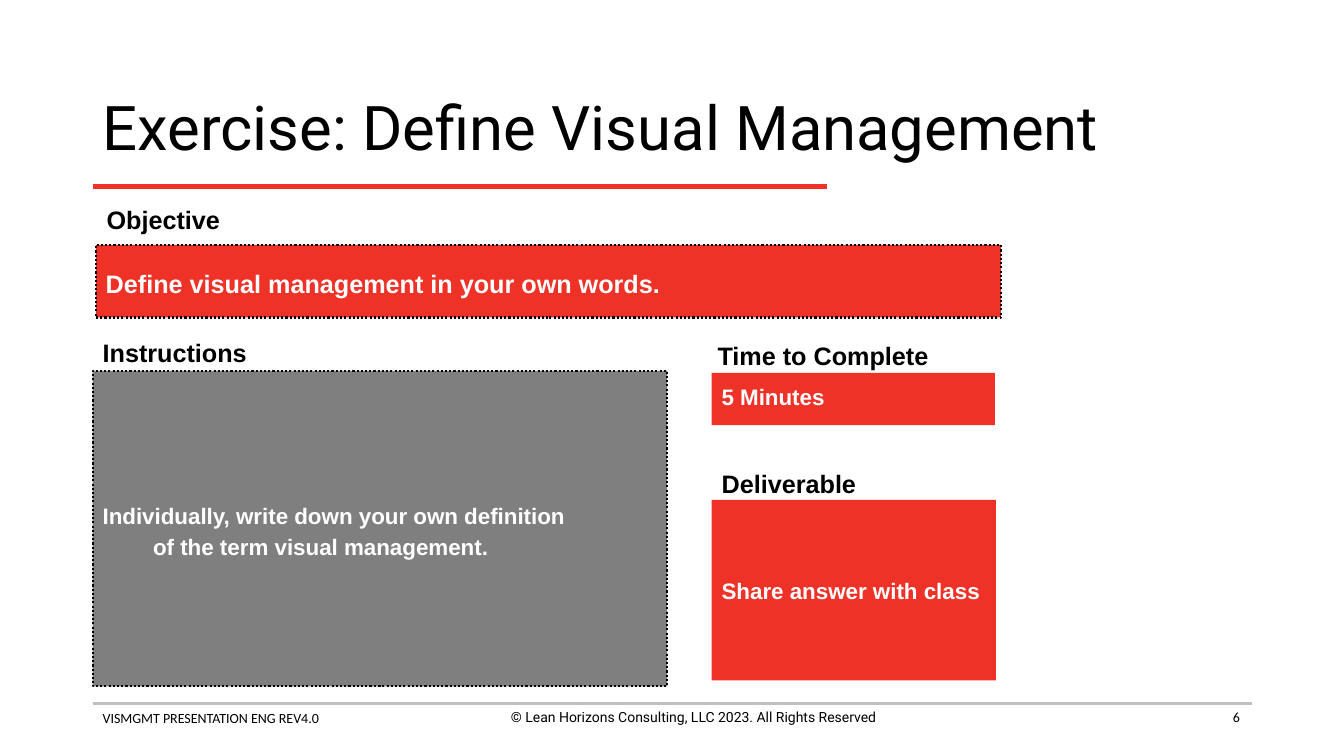
from dataclasses import dataclass

from lxml.etree import SubElement
from pptx import Presentation
from pptx.dml.color import RGBColor
from pptx.enum.dml import MSO_LINE
from pptx.enum.shapes import MSO_CONNECTOR, MSO_SHAPE
from pptx.enum.text import MSO_ANCHOR, MSO_AUTO_SIZE, PP_ALIGN
from pptx.oxml.ns import qn
from pptx.util import Inches, Pt


@dataclass(frozen=True)
class Theme:
    red: str = "EE3228"
    grey: str = "7F7F7F"
    rule: str = "BFBFBF"
    black: str = "000000"
    white: str = "FFFFFF"
    body_font: str = "Arial"
    title_font: str = "Roboto"
    footer_font: str = "Calibri"
    title: int = 44
    heading: int = 18
    body: int = 16
    footer: int = 10


def write(tf, text, *, font, size, color, bold=False, align=PP_ALIGN.LEFT,
          anchor=MSO_ANCHOR.TOP, spacing=1.0, wrap=True, hanging=0):
    tf.auto_size = MSO_AUTO_SIZE.NONE
    tf.word_wrap = wrap
    tf.vertical_anchor = anchor
    p = tf.paragraphs[0]
    p.text = text
    p.alignment = align
    p.line_spacing = spacing
    p.space_before = Pt(0)
    if hanging:
        pPr = p._p.get_or_add_pPr()
        pPr.set("marL", str(Inches(hanging)))
        pPr.set("indent", str(-Inches(hanging)))
    for r in p.runs:
        r.font.name = font
        r.font.size = Pt(size)
        r.font.bold = bold
        r.font.color.rgb = RGBColor.from_string(color)


class SlideBuilder:
    def __init__(self, prs, theme):
        self.prs = prs
        self.theme = theme
        self.s = prs.slides.add_slide(prs.slide_layouts[5])

    def place(self, x, y, w, h):
        width, height = self.prs.slide_width, self.prs.slide_height
        return [round(share * full / 100) for share, full in
                ((x, width), (y, height), (w, width), (h, height))]

    def title(self, text, box):
        sp = self.s.shapes.title
        sp.left, sp.top, sp.width, sp.height = self.place(*box)
        write(sp.text_frame, text, font=self.theme.title_font, size=self.theme.title,
              color=self.theme.black, anchor=MSO_ANCHOR.MIDDLE, spacing=0.9)

    def rule(self, x, y, w, color, weight):
        left, top, width, _ = self.place(x, y, w, 0)
        c = self.s.shapes.add_connector(MSO_CONNECTOR.STRAIGHT, left, top, left + width, top)
        c.line.color.rgb = RGBColor.from_string(color)
        c.line.width = Pt(weight)
        SubElement(c._element.spPr, qn("a:effectLst"))

    def footer(self, text, box, font, align=PP_ALIGN.LEFT):
        sp = self.s.shapes.add_textbox(*self.place(*box))
        write(sp.text_frame, text, font=font, size=self.theme.footer,
              color=self.theme.black, align=align)

    def heading(self, text, box, align=PP_ALIGN.LEFT):
        sp = self.s.shapes.add_textbox(*self.place(*box))
        write(sp.text_frame, text, font=self.theme.body_font, size=self.theme.heading,
              color=self.theme.black, bold=True, align=align, spacing=0.8, wrap=False)

    def panel(self, text, box, fill, size, dotted=False, spacing=1.0, hanging=0):
        sp = self.s.shapes.add_shape(MSO_SHAPE.RECTANGLE, *self.place(*box))
        sp.shadow.inherit = False
        sp.fill.solid()
        sp.fill.fore_color.rgb = RGBColor.from_string(fill)
        if dotted:
            sp.line.color.rgb = RGBColor.from_string(self.theme.black)
            sp.line.width = Pt(1.5)
            sp.line.dash_style = MSO_LINE.ROUND_DOT
        else:
            sp.line.fill.background()
        write(sp.text_frame, text, font=self.theme.body_font, size=size,
              color=self.theme.white, bold=True, anchor=MSO_ANCHOR.MIDDLE,
              spacing=spacing, wrap=False, hanging=hanging)


def main():
    prs = Presentation()
    prs.slide_width, prs.slide_height = Inches(13.33), Inches(7.5)
    t = Theme()
    b = SlideBuilder(prs, t)
    left, right, foot, label_h = 6.9, 52.95, 93.07, 4.53

    b.rule(left, foot, 86.25, t.rule, 2)
    b.footer("VISMGMT PRESENTATION ENG REV4.0", (left, 93.2, 34.2, 5.87), t.footer_font)
    b.footer("© Lean Horizons Consulting, LLC 2023. All Rights Reserved",
             (34.5, foot, 34.2, 5.87), t.title_font, PP_ALIGN.CENTER)
    b.footer("6", (70.5, foot, 22.5, 4.8), t.footer_font, PP_ALIGN.RIGHT)

    b.title("Exercise: Define Visual Management", (left, 9.87, 86.25, 14.67))
    b.rule(left, 24.67, 54.6, t.red, 3)

    b.panel("Define visual management in your own words.", (7.13, 32.4, 67.35, 9.6),
            t.red, t.heading, dotted=True, spacing=1.15)
    b.panel("Share answer with class", (right, 66.13, 21.15, 23.87), t.red, t.body)
    b.panel("5 Minutes", (right, 49.33, 21.08, 6.93), t.red, t.body, spacing=0.8)
    b.panel("Individually, write down your own definition\vof the term visual management.",
            (left, 49.07, 42.75, 41.73), t.grey, t.body, dotted=True, spacing=1.15,
            hanging=0.5)

    b.heading("Objective", (7.13, 27.2, 10.05, label_h), PP_ALIGN.CENTER)
    b.heading("Instructions", (left, 44.67, 12.23, label_h))
    b.heading("Time to Complete", (52.65, 45.07, 17.25, label_h))
    b.heading("Deliverable", (right, 62, 11.48, label_h))

    prs.save("out.pptx")


if __name__ == "__main__":
    main()
